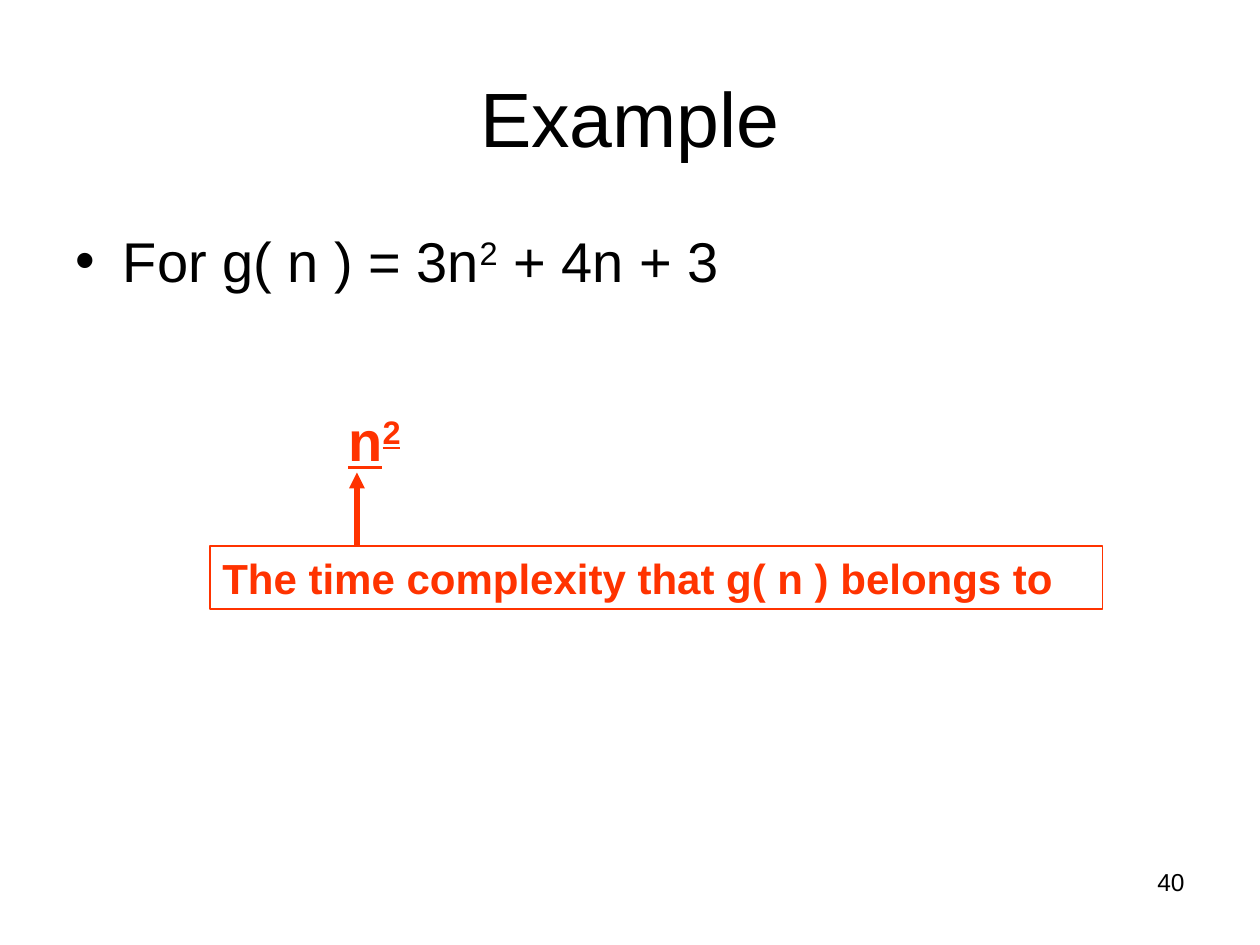
from pptx import Presentation
from pptx.dml.color import RGBColor
from pptx.enum.shapes import MSO_CONNECTOR as CONN, MSO_SHAPE as SHAPE
from pptx.enum.text import MSO_ANCHOR as ANCHOR, MSO_AUTO_SIZE as AUTO, PP_ALIGN as ALIGN
from pptx.oxml.ns import qn
from pptx.util import Pt
from lxml.etree import SubElement

COLORS = {"black": "000000", "red": "FF3300"}
FONT = "Arial"
TITLE = "Example"
FORMULA = [("For g( n ) = 3n", False), ("2", True), (" + 4n + 3", False)]
TERM = [("n", False), ("2", True)]
CAPTION = "The time complexity that g( n ) belongs to"
NUMBER = "40"
BOX = (120, 312, 510, 36)
ARROW_X, ARROW_TOP = 204, 270


def rgb(name):
    return RGBColor.from_string(COLORS[name])


def place(s, left, top, width, height):
    s.left, s.top, s.width, s.height = Pt(left), Pt(top), Pt(width), Pt(height)
    return s


def write(s, text, size, color="black", bold=False, underline=False,
          align=ALIGN.LEFT, anchor=ANCHOR.TOP, bullet=None, indent=27):
    tf = s.text_frame
    tf.word_wrap, tf.auto_size, tf.vertical_anchor = True, AUTO.NONE, anchor
    p = tf.paragraphs[0]
    p.alignment, p.space_before = align, Pt(0)
    if bullet:
        pPr = p._p.get_or_add_pPr()
        pPr.set("marL", str(Pt(indent)))
        pPr.set("indent", str(-Pt(indent)))
        SubElement(pPr, qn("a:buFont")).set("typeface", FONT)
        SubElement(pPr, qn("a:buChar")).set("char", bullet)
    for part, raised in [(text, False)] if isinstance(text, str) else text:
        r = p.add_run()
        r.text = part
        f = r.font
        f.name, f.size, f.bold, f.underline = FONT, Pt(size), bold, underline
        f.color.rgb = rgb(color)
        if raised:
            r._r.get_or_add_rPr().set("baseline", "30000")


def add_arrow(shapes, x, start, end, color, width):
    s = shapes.add_connector(CONN.STRAIGHT, Pt(x), Pt(start), Pt(x), Pt(end))
    s.line.color.rgb, s.line.width = rgb(color), Pt(width)
    SubElement(s.line._get_or_add_ln(), qn("a:tailEnd")).set("type", "triangle")
    SubElement(s._element.spPr, qn("a:effectLst"))


def main():
    """Build the time complexity example slide."""
    prs = Presentation()
    prs.slide_width, prs.slide_height = Pt(720), Pt(540)
    slide = prs.slides.add_slide(prs.slide_layouts[1])
    shapes = slide.shapes

    title = place(shapes.title, 36, 21.6, 648, 90)
    write(title, TITLE, 44, align=ALIGN.CENTER, anchor=ANCHOR.MIDDLE)
    body = place(slide.placeholders[1], 36, 126, 648, 356.4)
    write(body, FORMULA, 32, bullet="•")

    term = shapes.add_textbox(Pt(192), Pt(228), Pt(360), Pt(46))
    write(term, TERM, 32, color="red", bold=True, underline=True)

    box = shapes.add_shape(SHAPE.RECTANGLE, *map(Pt, BOX))
    box.shadow.inherit = False
    box.fill.background()
    box.line.color.rgb, box.line.width = rgb("red"), Pt(0.75)
    write(box, CAPTION, 24, color="red", bold=True)
    add_arrow(shapes, ARROW_X, BOX[1], ARROW_TOP, "red", 3)

    number = shapes.add_textbox(Pt(516), Pt(492), Pt(168), Pt(37.5))
    write(number, NUMBER, 14, align=ALIGN.RIGHT)
    prs.save("out.pptx")


if __name__ == "__main__":
    main()
